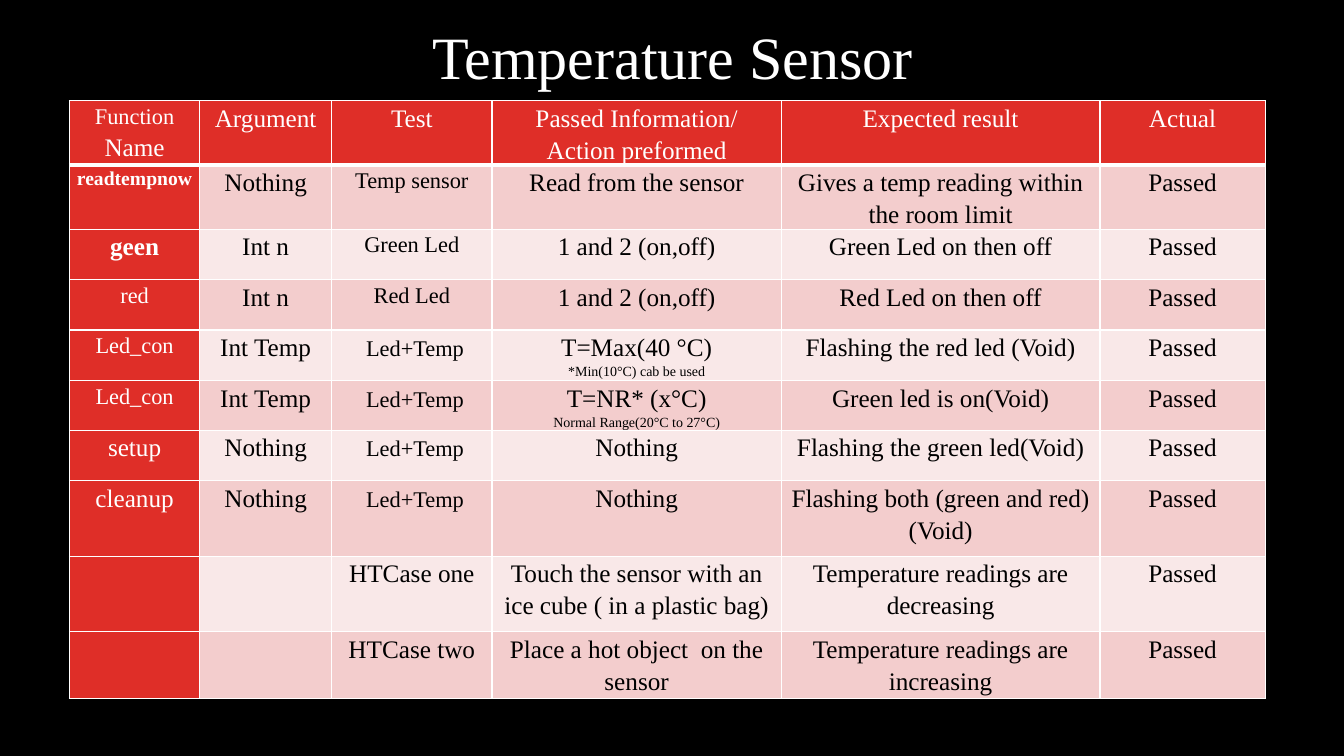
import pptx
import pptx.dml.color
import pptx.enum.text
import pptx.util
from lxml import etree

Inches = pptx.util.Inches
RGBColor = pptx.dml.color.RGBColor

BLACK = RGBColor(0x00, 0x00, 0x00)
WHITE = RGBColor(0xFF, 0xFF, 0xFF)
RED = RGBColor(0xDF, 0x2E, 0x28)
PINK = RGBColor(0xF3, 0xCD, 0xCD)
PALE_PINK = RGBColor(0xF9, 0xE8, 0xE8)

FONT = "Times New Roman"
DRAWING = "http://schemas.openxmlformats.org/drawingml/2006/main"
CENTER = pptx.enum.text.PP_ALIGN.CENTER

COLUMN_WIDTHS = [1.29, 1.31, 1.59, 2.87, 3.16, 1.64]
ROW_HEIGHTS = [0.61, 0.5, 0.5, 0.5, 0.5, 0.48, 0.5, 0.75, 0.75, 0.66]

# A line break starts a paragraph and a bar starts a run.
TESTS = [
    ["Function\nName", "Argument", "Test", "Passed Information/\nAction preformed",
     "Expected result", "Actual"],
    ["readtempnow", "Nothing", "Temp sensor", "Read from the sensor",
     "Gives a temp reading within the room limit", "Passed"],
    ["geen", "Int n", "Green Led", "1 and 2 (on,off)", "Green Led on then off", "Passed"],
    ["red", "Int n", "Red Led", "1 and 2 (on,off)", "Red Led on then off", "Passed"],
    ["Led_con", "Int Temp", " |Led+Temp", "T=Max(40 °C)\n*Min(10°C) cab be used",
     "Flashing the red led (Void)", "Passed"],
    ["Led_con", "Int Temp", " |Led+Temp", "T=NR* (x°C)\nNormal Range(20°C to 27°C)",
     "Green led is on(Void)", "Passed"],
    ["setup", "Nothing", " |Led+Temp", "Nothing", "Flashing the green led(Void)", "Passed"],
    ["cleanup", "Nothing", " |Led+Temp", "Nothing",
     "Flashing both (green and red)\n(Void)", "Passed"],
    ["", "", "HTCase one", "Touch the sensor with an ice cube ( in a plastic bag)",
     "Temperature readings are decreasing", "Passed"],
    ["", "", "HTCase two", "Place a hot object  on the sensor",
     "Temperature readings are increasing", "Passed"],
]
BODY_SIZE = 18
SPECIAL_SIZES = {
    "Function": 16, "readtempnow": 14, "red": 16, "Led_con": 16,
    "Temp sensor": 16, "Green Led": 16, "Red Led": 16, "Led+Temp": 16,
    "*Min(10°C) cab be used": 10, "Normal Range(20°C to 27°C)": 10,
}
BOLD_NAMES = {"readtempnow", "geen"}


def apply_format(target, values):
    """Set each attribute named in values on the target."""
    for name, value in values.items():
        setattr(target, name, value)


def add_run(paragraph, text, size, color, bold=False):
    """Add one formatted run to a paragraph."""
    run = paragraph.add_run()
    run.text = text
    apply_format(run.font, {"name": FONT, "size": pptx.util.Pt(size), "bold": bold})
    run.font.color.rgb = color


def set_borders(cell, widths):
    """Give the cell white borders with a point width for each side."""
    properties = cell._tc.get_or_add_tcPr()
    for side, width in widths.items():
        line = etree.SubElement(properties, f"{{{DRAWING}}}ln{side}",
                                w=str(pptx.util.Pt(width)))
        fill = etree.SubElement(line, f"{{{DRAWING}}}solidFill")
        etree.SubElement(fill, f"{{{DRAWING}}}srgbClr", val=str(WHITE))


def fill_cell(cell, text, row, column):
    """Write and colour one cell according to its place in the table."""
    is_heading = row == 0 or column == 0
    set_borders(cell, {"L": 1, "R": 1, "T": 1, "B": 3 if row == 0 else 1})
    cell.fill.solid()
    cell.fill.fore_color.rgb = RED if is_heading else PINK if row % 2 else PALE_PINK
    apply_format(cell, {"margin_left": Inches(0.07), "margin_right": Inches(0.07),
                        "margin_top": 0, "margin_bottom": 0})
    if not text:
        return
    for index, line in enumerate(text.split("\n")):
        frame = cell.text_frame
        paragraph = frame.add_paragraph() if index else frame.paragraphs[0]
        apply_format(paragraph, {"alignment": CENTER, "line_spacing": 1.15})
        for part in line.split("|"):
            add_run(paragraph, part, SPECIAL_SIZES.get(part, BODY_SIZE),
                    WHITE if is_heading else BLACK, part in BOLD_NAMES)


def add_test_table(slide, left, top, width, height):
    """Place the table of sensor tests in the given box."""
    table = slide.shapes.add_table(len(TESTS), len(COLUMN_WIDTHS), Inches(left),
                                   Inches(top), Inches(width), Inches(height)).table
    apply_format(table, {"first_row": False, "horz_banding": False})
    scale = width / sum(COLUMN_WIDTHS)
    for column, column_width in zip(table.columns, COLUMN_WIDTHS):
        column.width = Inches(column_width * scale)
    for row, row_height in zip(table.rows, ROW_HEIGHTS):
        row.height = Inches(row_height)
    for row, texts in enumerate(TESTS):
        for column, text in enumerate(texts):
            fill_cell(table.cell(row, column), text, row, column)


def set_title(slide, left, top, width, height):
    """Place the slide title in the given box."""
    title = slide.shapes.title
    apply_format(title, {"left": Inches(left), "top": Inches(top),
                         "width": Inches(width), "height": Inches(height)})
    apply_format(title.text_frame, {
        "word_wrap": True,
        "auto_size": pptx.enum.text.MSO_AUTO_SIZE.NONE,
        "vertical_anchor": pptx.enum.text.MSO_ANCHOR.MIDDLE,
    })
    paragraph = title.text_frame.paragraphs[0]
    paragraph.alignment = CENTER
    add_run(paragraph, "Temperature Sensor", 42.9, WHITE)


def main():
    """Build and save the presentation."""
    presentation = pptx.Presentation()
    apply_format(presentation, {"slide_width": Inches(13.33), "slide_height": Inches(7.5)})
    slide = presentation.slides.add_slide(presentation.slide_layouts[5])
    slide.background.fill.solid()
    slide.background.fill.fore_color.rgb = BLACK
    set_title(slide, 2.42, 0.14, 8.5, 0.83)
    add_test_table(slide, 0.69, 1, 11.86, 6.14)
    presentation.save("out.pptx")


if __name__ == "__main__":
    main()
